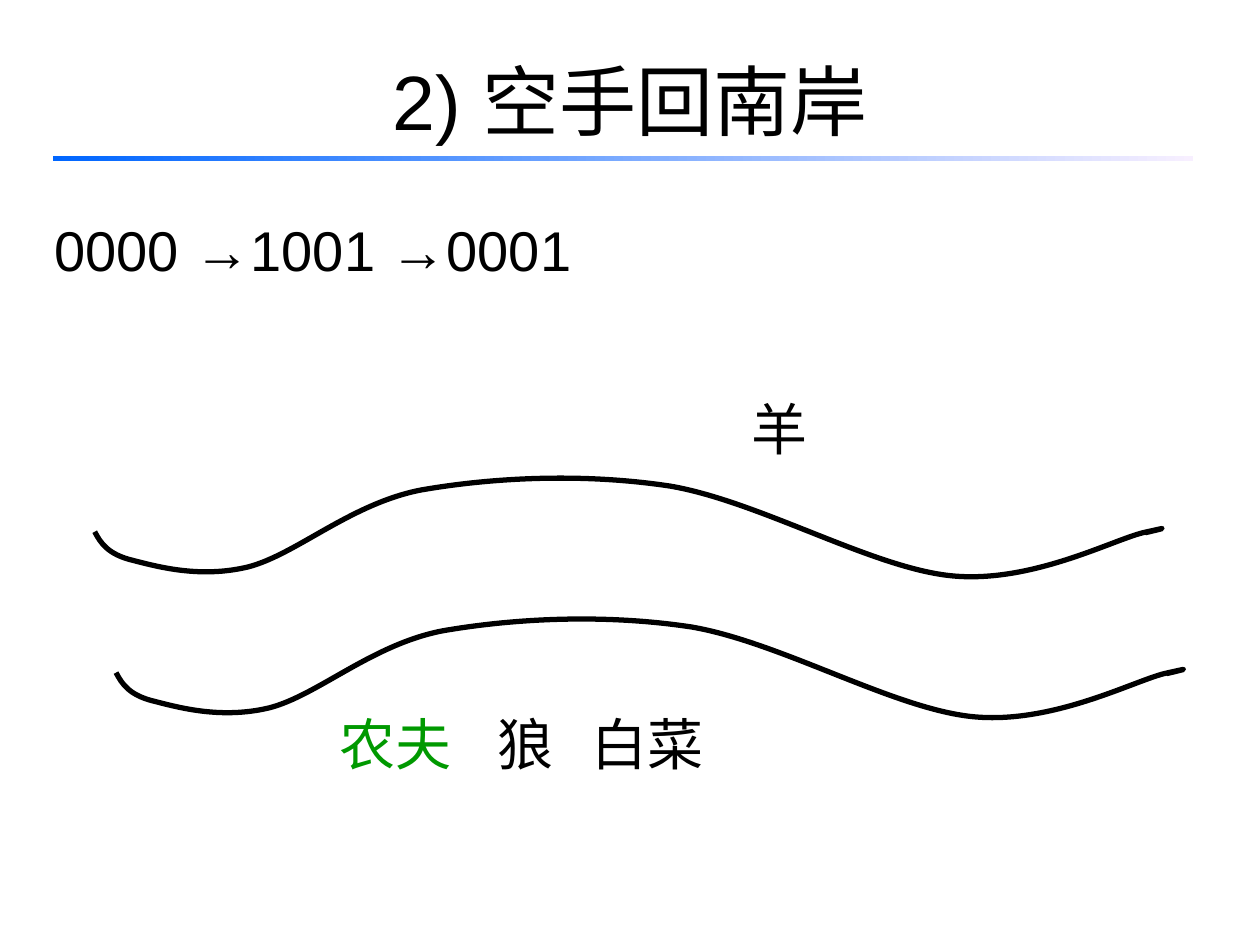
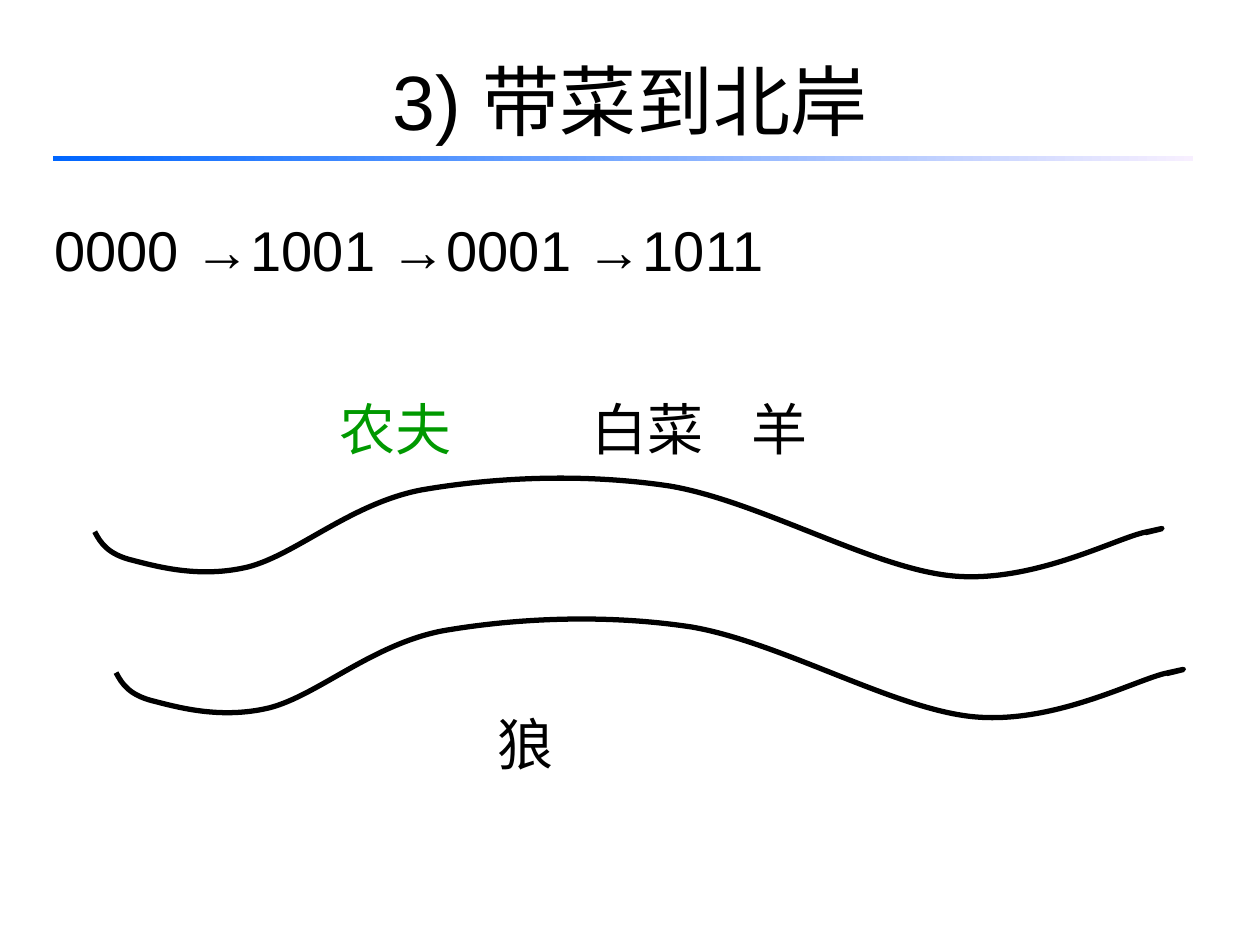
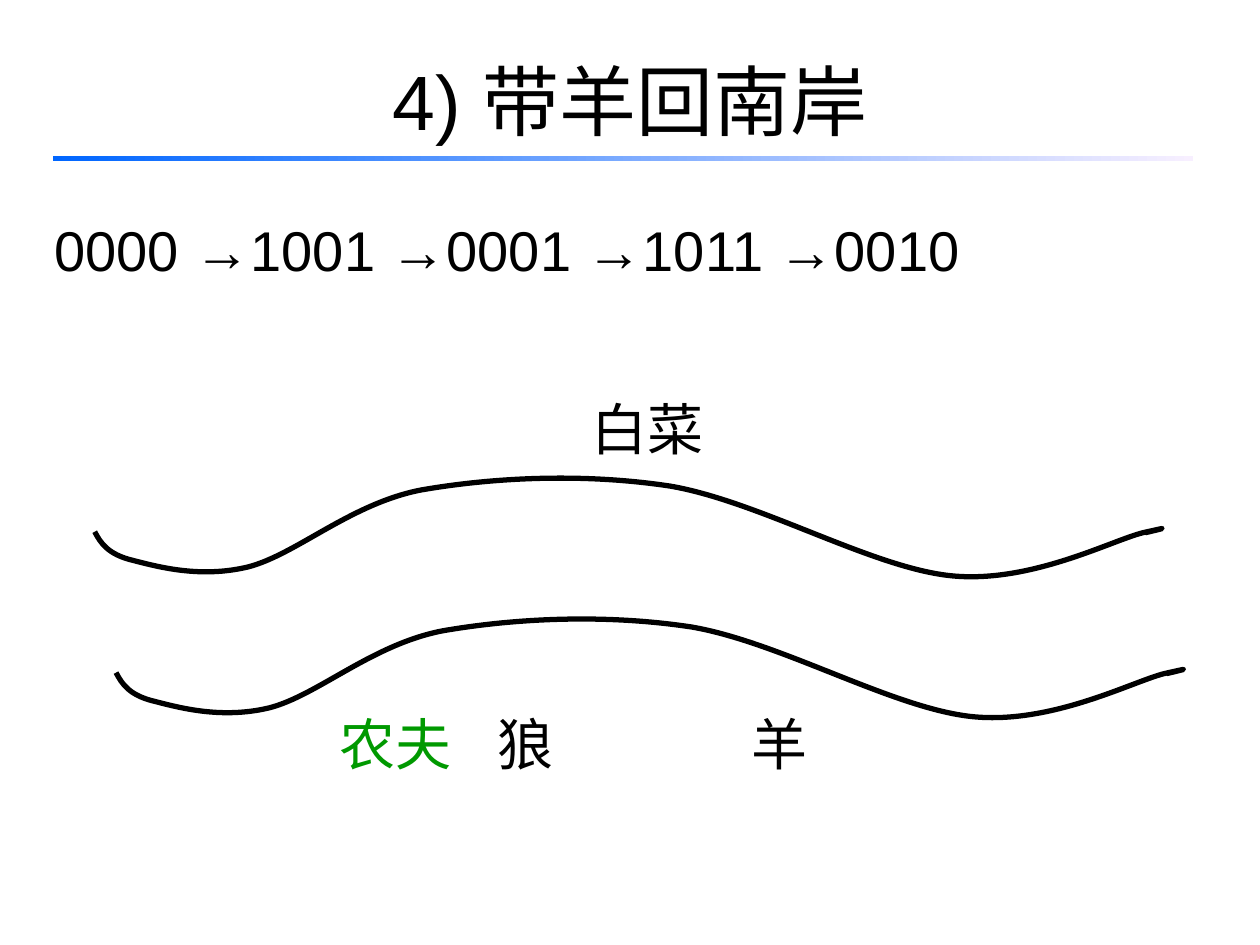
from dataclasses import dataclass

from lxml import etree
from pptx import Presentation, util as u
from pptx.dml.color import RGBColor
from pptx.enum import shapes, text
from pptx.oxml.ns import qn

FONT = "Arial"
BLACK, GREEN = "000000", "009900"
BAND_FROM, BAND_TO = "0066FF", "F7EFFF"
NORTH_TOP, SOUTH_TOP = 7.82, 14.17

# River bank in cm: a start point, then three points for each Bezier curve
BANK = [
    (1.91, 10.72),
    (2.03, 10.95), (2.18, 11.18), (2.69, 11.30),
    (3.20, 11.43), (4.04, 11.66), (5.00, 11.43),
    (5.97, 11.18), (7.06, 10.16), (8.48, 9.88),
    (9.91, 9.63), (11.73, 9.53), (13.51, 9.80),
    (15.32, 10.11), (17.60, 11.46), (19.20, 11.61),
    (20.78, 11.76), (22.40, 10.90), (23.04, 10.74),
    (23.70, 10.59), (23.39, 10.67), (23.09, 10.74),
]
BANK_OFFSETS = [(0, 0), (0.43, 2.84)]


@dataclass(frozen=True)
class Passenger:
    name: str
    left: float
    color: str = BLACK


@dataclass(frozen=True)
class Step:
    title: str
    state: str


# Each digit of a state tells whether that passenger is on the north bank
PASSENGERS = [
    Passenger("农夫", 6.10, GREEN),
    Passenger("狼", 9.27),
    Passenger("白菜", 11.18),
    Passenger("羊", 14.40),
]
FIRST_STATES = ["0000", "1001"]
STEPS = [
    Step("2) 空手回南岸", "0001"),
    Step("3) 带菜到北岸", "1011"),
    Step("4) 带羊回南岸", "0010"),
]


def rgb(value: str) -> RGBColor:
    return RGBColor.from_string(value)


def add_text(s, content: str, left: float, top: float, width: float, height: float, *,
             size: float = 32, color: str = BLACK, align=text.PP_ALIGN.JUSTIFY,
             anchor=text.MSO_ANCHOR.TOP, before: float = 3.6,
             margin: float = 0, indent: float = 0) -> None:
    """Add a one-paragraph text box; lengths in cm, sizes in points."""
    sp = s.shapes.add_textbox(u.Cm(left), u.Cm(top), u.Cm(width), u.Cm(height))
    tf = sp.text_frame
    tf.word_wrap = True
    tf.vertical_anchor = anchor
    p = tf.paragraphs[0]
    p.alignment = align
    p.space_before = u.Pt(before)
    pPr = p._p.get_or_add_pPr()
    pPr.set("marL", str(u.Cm(margin)))
    pPr.set("indent", str(u.Cm(indent)))
    r = p.add_run()
    r.text = content
    r.font.name = FONT
    r.font.size = u.Pt(size)
    r.font.color.rgb = rgb(color)


def add_title(s, title: str) -> None:
    add_text(s, title, 1.27, 0.43, 22.86, 3.18, size=44, before=0,
             align=text.PP_ALIGN.CENTER, anchor=text.MSO_ANCHOR.MIDDLE)
    # Gradient band under the title
    sp = s.shapes.add_shape(shapes.MSO_SHAPE.RECTANGLE,
                            u.Cm(1.06), u.Cm(3.15), u.Cm(23), u.Cm(0.1))
    sp.shadow.inherit = False
    sp.line.fill.background()
    sp.fill.gradient()
    sp.fill.gradient_angle = 0
    for stop, color in zip(sp.fill.gradient_stops, (BAND_FROM, BAND_TO)):
        stop.color.rgb = rgb(color)


def add_bank(s, dx: float, dy: float) -> None:
    points = [(u.Cm(x + dx), u.Cm(y + dy)) for x, y in BANK]
    builder = s.shapes.build_freeform(*points[0])
    builder.add_line_segments(points[1:], close=False)
    sp = builder.convert_to_shape()
    sp.shadow.inherit = False
    sp.fill.background()
    sp.line.color.rgb = rgb(BLACK)
    sp.line.width = u.Pt(3)
    # Turn every three line segments into one Bezier curve
    path = next(sp._element.iter(qn("a:path")))
    segments = path.findall(qn("a:lnTo"))
    for i in range(0, len(segments), 3):
        curve = etree.SubElement(path, qn("a:cubicBezTo"))
        for segment in segments[i:i + 3]:
            curve.append(segment[0])
            path.remove(segment)


def add_step(prs, step: Step, states: list[str]) -> None:
    s = prs.slides.add_slide(prs.slide_layouts[6])
    add_title(s, step.title)
    for dx, dy in BANK_OFFSETS:
        add_bank(s, dx, dy)
    add_text(s, " →".join(states), 0.85, 4.23, 23.7, 3.39, margin=0.95, indent=-0.95)
    for passenger, digit in zip(PASSENGERS, step.state):
        top = NORTH_TOP if digit == "1" else SOUTH_TOP
        add_text(s, passenger.name, passenger.left, top, 3.39, 1.9,
                 color=passenger.color, margin=0.5)


def main() -> None:
    prs = Presentation()
    prs.slide_width, prs.slide_height = u.Cm(25.4), u.Cm(19.05)
    states = list(FIRST_STATES)
    for step in STEPS:
        states.append(step.state)
        add_step(prs, step, states)
    prs.save("out.pptx")


if __name__ == "__main__":
    main()
